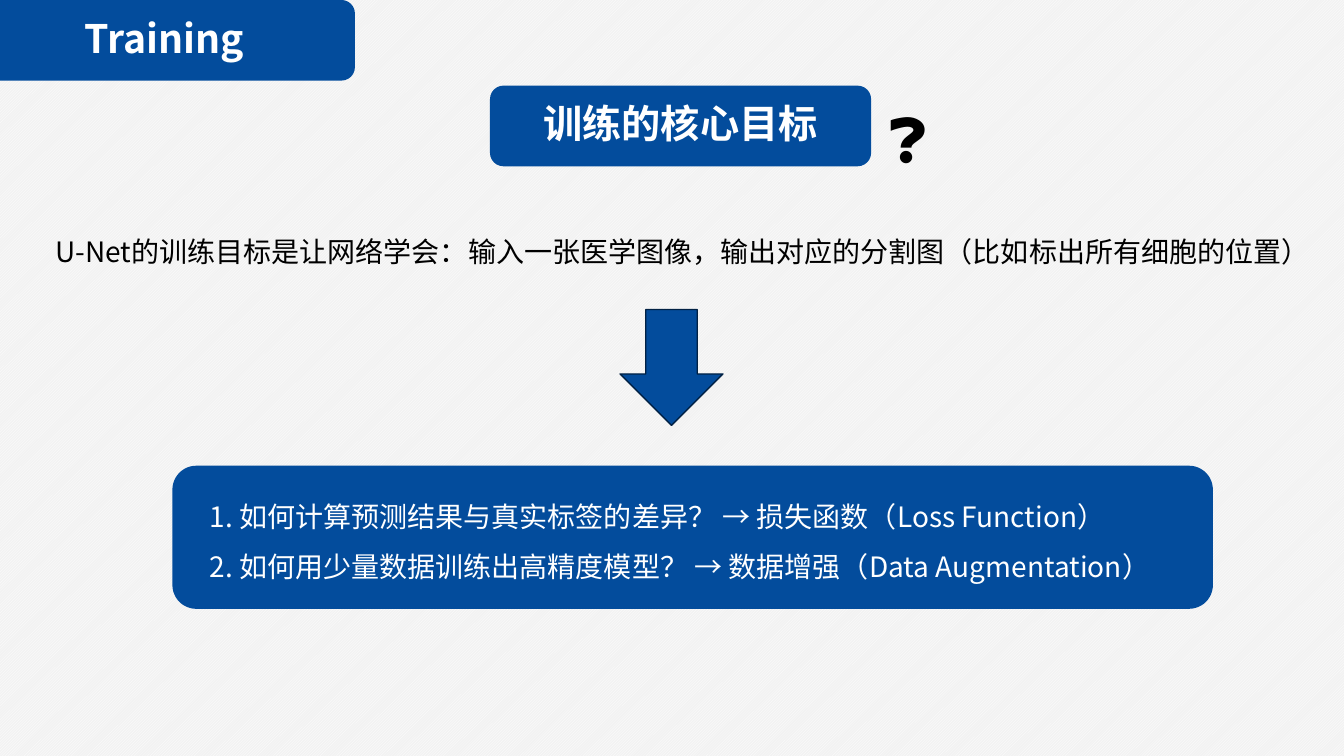
from dataclasses import dataclass

from lxml.etree import SubElement
from pptx import Presentation
from pptx.dml.color import RGBColor
from pptx.enum.dml import MSO_PATTERN
from pptx.enum.shapes import MSO_SHAPE as Preset
from pptx.enum.text import MSO_ANCHOR as Anchor, PP_ALIGN as Align
from pptx.oxml.ns import qn
from pptx.util import Pt

EMU_PER_PX = 9144


@dataclass(frozen=True)
class Theme:
    """Colours, typeface and type sizes of the slide."""
    blue: RGBColor = RGBColor(0x03, 0x4C, 0x9C)
    navy: RGBColor = RGBColor(0x01, 0x21, 0x44)
    white: RGBColor = RGBColor(0xFF, 0xFF, 0xFF)
    black: RGBColor = RGBColor(0, 0, 0)
    grey: RGBColor = RGBColor(0xF2, 0xF2, 0xF2)
    typeface: str = "Noto Sans CJK SC"
    body: int = 20
    heading: int = 28
    mark: int = 40


THEME = Theme()
TRAINING_BOX = (-26, 0, 378, 80)
GOAL_BOX = (486, 85, 378, 80)
MARK_BOX = (871, 76, 157, 89)
AIM_BOX = (45, 218, 1268, 50)
ARROW_BOX = (615, 307, 102, 115)
QUESTIONS_BOX = (171, 462, 1032, 142)
AIM = "U-Net的训练目标是让网络学会：输入一张医学图像，输出对应的分割图（比如标出所有细胞的位置）"
QUESTIONS = (
    "1. 如何计算预测结果与真实标签的差异？ → 损失函数（Loss Function）",
    "2. 如何用少量数据训练出高精度模型？ → 数据增强（Data Augmentation）",
)


def px(*lengths):
    """Turn pixel lengths into EMU."""
    return [length * EMU_PER_PX for length in lengths]


def write(frame, lines, size, color, align, spacing, anchor=Anchor.TOP, bold=False):
    """Fill a text frame with evenly styled paragraphs."""
    frame.word_wrap = True
    frame.vertical_anchor = anchor
    frame.text = "\n".join(lines)
    for paragraph in frame.paragraphs:
        paragraph.alignment = align
        paragraph.line_spacing = spacing
        font = paragraph.font
        font.size, font.bold, font.name = Pt(size), bold, THEME.typeface
        font.color.rgb = color
        SubElement(font._element, qn("a:ea"), typeface=THEME.typeface)


def write_heading(frame, text):
    """Write a bold white heading in the middle of its bar."""
    write(frame, [text], THEME.heading, THEME.white, Align.CENTER, 0.9, Anchor.MIDDLE, True)


def add_block(slide, preset, box, outline=None):
    """Add a blue preset shape, outlined only when a colour is given."""
    block = slide.shapes.add_shape(preset, *px(*box))
    block.shadow.inherit = False
    block.fill.solid()
    block.fill.fore_color.rgb = THEME.blue
    if outline is None:
        block.line.fill.background()
    else:
        block.line.color.rgb = outline
        block.line.width = Pt(1)
    return block


def add_text(slide, text, box, size):
    """Add a plain black text box."""
    frame = slide.shapes.add_textbox(*px(*box)).text_frame
    write(frame, [text], size, THEME.black, Align.LEFT, 1.3)


def add_title(slide, text, box):
    """Place the title placeholder on top of a blue bar."""
    bar = add_block(slide, Preset.ROUNDED_RECTANGLE, box)
    title = slide.shapes.title
    title.left, title.top, title.width, title.height = px(*box)
    bar._element.addnext(title._element)
    write_heading(title.text_frame, text)


def add_questions(slide, lines, box):
    """Add the panel that lists the two training questions."""
    frame = add_block(slide, Preset.ROUNDED_RECTANGLE, box).text_frame
    frame.margin_left, frame.margin_right, frame.margin_top = px(30, 30, 10)
    write(frame, lines, THEME.body, THEME.white, Align.JUSTIFY, 1.5)


def paint_background(slide):
    """Fill the background with faint upward diagonals."""
    fill = slide.background.fill
    fill.patterned()
    fill.pattern = MSO_PATTERN.DARK_UPWARD_DIAGONAL
    fill.fore_color.rgb = THEME.white
    fill.back_color.rgb = THEME.grey


def main():
    """Build the training slide and save it."""
    deck = Presentation()
    deck.slide_width, deck.slide_height = px(1333, 750)
    slide = deck.slides.add_slide(deck.slide_layouts.get_by_name("Title Only"))
    paint_background(slide)
    add_title(slide, "Training", TRAINING_BOX)
    goal = add_block(slide, Preset.ROUNDED_RECTANGLE, GOAL_BOX)
    write_heading(goal.text_frame, "训练的核心目标")
    add_text(slide, "❓", MARK_BOX, THEME.mark)
    add_text(slide, AIM, AIM_BOX, THEME.body)
    add_block(slide, Preset.DOWN_ARROW, ARROW_BOX, THEME.navy)
    add_questions(slide, QUESTIONS, QUESTIONS_BOX)
    deck.save("out.pptx")


if __name__ == "__main__":
    main()
